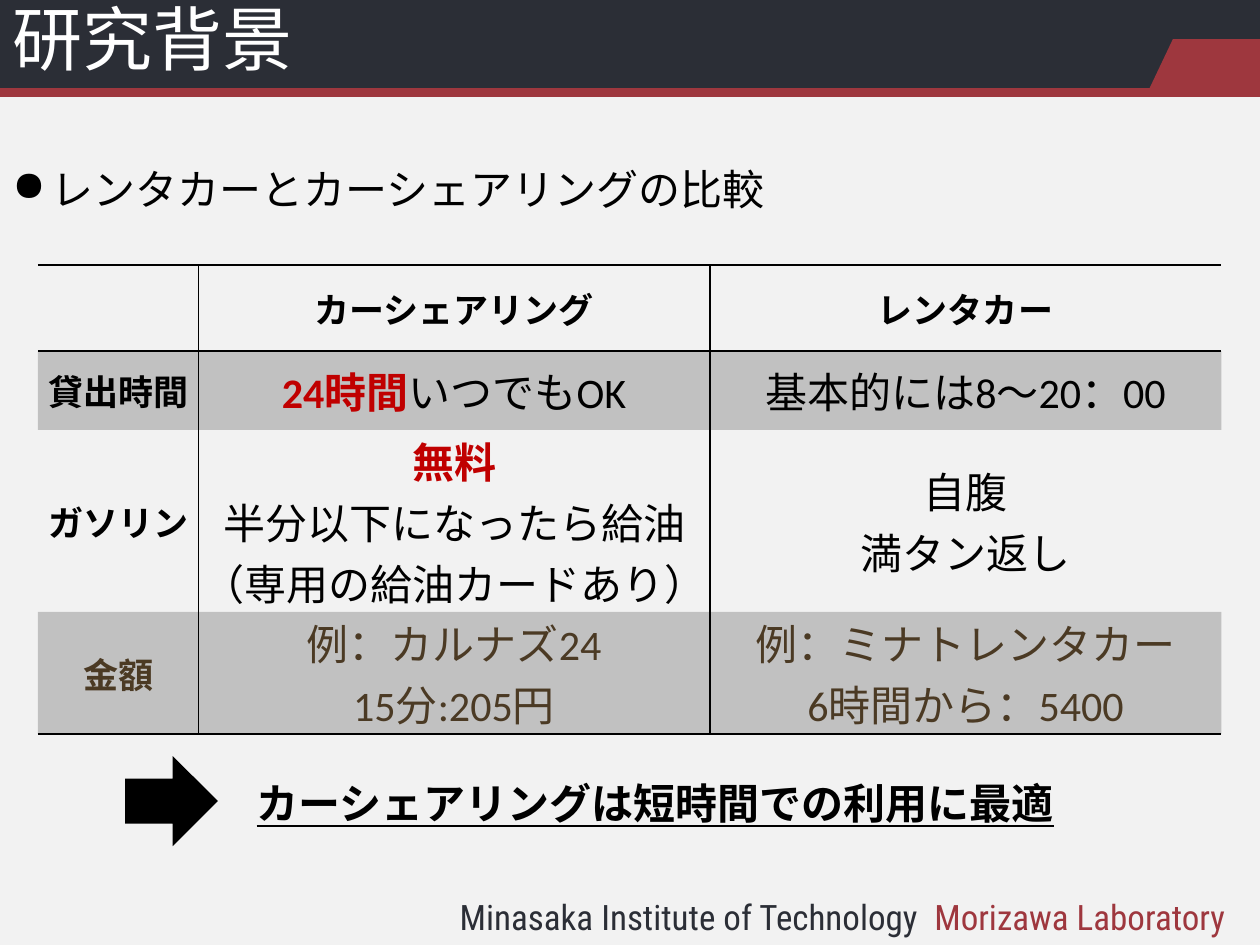
from dataclasses import dataclass

from lxml.etree import SubElement
from pptx import Presentation
from pptx.dml.color import RGBColor
from pptx.enum.shapes import MSO_CONNECTOR, MSO_SHAPE as Preset
from pptx.enum.text import MSO_ANCHOR as Anchor, PP_ALIGN as Align
from pptx.oxml import parse_xml
from pptx.oxml.ns import nsdecls, qn
from pptx.util import Pt

NAVY, RED, PAPER, INK = "2B2E36", "9E373E", "F2F2F2", "000000"
ACCENT, BROWN, WHITE = "C00000", "4B3A24", "FFFFFF"
LATIN, JAPANESE, CONDENSED = "Calibri", "Noto Sans CJK JP", "Roboto Condensed"
NO_STYLE = "{2D5ABB26-0587-4C30-8999-92F81FD0307C}"


@dataclass
class Span:
    """A piece of text with its own colour and weight."""
    text: str
    color: str = INK
    bold: bool = False


@dataclass
class Box:
    """A filled preset shape, measured in points."""
    preset: Preset
    left: float
    top: float
    width: float
    height: float
    color: str
    flipped: bool = False


@dataclass
class Row:
    """A table row: heading, cells of lines of spans, and look."""
    height: float
    heading: str
    cells: list[list[list[Span]]]
    shaded: bool = False
    color: str = INK


def rgb(value: str) -> RGBColor:
    """Turn a hex string into a colour."""
    return RGBColor.from_string(value)


def write_line(paragraph, spans: list[Span], size: float, font: str,
               align: Align = Align.LEFT) -> None:
    """Write spans into a paragraph, sharing whatever format agrees."""
    paragraph.alignment = align
    shared = paragraph.font
    shared.size, shared.name = Pt(size), font
    runs = []
    for span in spans:
        run = paragraph.add_run()
        run.text = span.text
        runs.append(run.font)
    targets = [shared] if len(spans) == 1 else runs
    for target, span in zip(targets, spans):
        target.bold = span.bold
        target.color.rgb = rgb(span.color)
    defaults = paragraph._p.pPr.find(qn("a:defRPr"))
    SubElement(defaults, qn("a:ea"), typeface=JAPANESE)


def add_text(shapes, left: float, top: float, width: float, height: float,
             spans: list[Span], size: float, font: str,
             align: Align = Align.LEFT, anchor: Anchor = Anchor.TOP):
    """Add a one-line text box and return its paragraph."""
    frame = shapes.add_textbox(Pt(left), Pt(top), Pt(width), Pt(height)).text_frame
    frame.word_wrap = True
    frame.vertical_anchor = anchor
    write_line(frame.paragraphs[0], spans, size, font, align)
    return frame.paragraphs[0]


def add_box(shapes, box: Box) -> None:
    """Draw a plain filled shape."""
    shape = shapes.add_shape(box.preset, Pt(box.left), Pt(box.top),
                             Pt(box.width), Pt(box.height))
    shape.shadow.inherit = False
    shape.fill.solid()
    shape.fill.fore_color.rgb = rgb(box.color)
    shape.line.fill.background()
    if box.flipped:
        shape._element.spPr.find(qn("a:xfrm")).set("flipH", "1")


def add_rule(shapes, top: float, width: float, color: str, weight: float) -> None:
    """Draw a horizontal rule from the left edge."""
    rule = shapes.add_connector(MSO_CONNECTOR.STRAIGHT, 0, Pt(top), Pt(width), Pt(top))
    rule.line.color.rgb = rgb(color)
    rule.line.width = Pt(weight)
    SubElement(rule._element.spPr, qn("a:effectLst"))


def set_borders(cell, sides: str) -> None:
    """Draw thin black borders on the named sides and none elsewhere."""
    properties = cell._tc.get_or_add_tcPr()
    for position, side in enumerate("LRTB"):
        paint = (f'<a:solidFill><a:srgbClr val="{INK}"/></a:solidFill>'
                 if side in sides else "<a:noFill/>")
        properties.insert(position, parse_xml(
            f'<a:ln{side} {nsdecls("a")} w="{Pt(1)}">{paint}</a:ln{side}>'))


def fill_cell(cell, lines: list[list[Span]], size: float, shaded: bool) -> None:
    """Write centred lines into a cell and shade it if asked."""
    cell.margin_left = cell.margin_right = cell.margin_top = cell.margin_bottom = 0
    cell.vertical_anchor = Anchor.MIDDLE
    frame = cell.text_frame
    for index, spans in enumerate(lines):
        paragraph = frame.add_paragraph() if index else frame.paragraphs[0]
        write_line(paragraph, spans, size, LATIN, Align.CENTER)
    if shaded:
        cell.fill.solid()
        cell.fill.fore_color.rgb = rgb(INK)
        tint = cell._tc.tcPr.find(".//" + qn("a:srgbClr"))
        SubElement(tint, qn("a:alpha"), val="20000")
    else:
        cell.fill.background()


def add_comparison(shapes, left: float, top: float, widths: list[float],
                   rows: list[Row]) -> None:
    """Draw the comparison table, its first row being the header."""
    table = shapes.add_table(len(rows), len(widths), Pt(left), Pt(top),
                             Pt(sum(widths)), Pt(sum(r.height for r in rows))).table
    table.first_row = table.horz_banding = False
    table._tbl.tblPr.find(qn("a:tableStyleId")).text = NO_STYLE
    for column, width in zip(table.columns, widths):
        column.width = Pt(width)
    last_row, last_column = len(rows) - 1, len(widths) - 1
    for r, row in enumerate(rows):
        table.rows[r].height = Pt(row.height)
        heading = [[Span(row.heading, row.color, True)]] if row.heading else []
        for c, lines in enumerate([heading, *row.cells]):
            cell = table.cell(r, c)
            fill_cell(cell, lines, 20 if r == 0 or c == 0 else 24, row.shaded)
            sides = ("L" if c else "") + ("R" if c < last_column else "")
            sides += "TB" if r == 0 else "T" if r == 1 else ""
            set_borders(cell, sides + ("B" if r == last_row else ""))


deck = Presentation()
deck.slide_width, deck.slide_height = Pt(720), Pt(540)
slide = deck.slides.add_slide(deck.slide_layouts[6])
slide.background.fill.solid()
slide.background.fill.fore_color.rgb = rgb(PAPER)
shapes = slide.shapes

add_text(shapes, 255.6, 508.3, 464.4, 31.7,
         [Span("Minasaka Institute of Technology  ", NAVY),
          Span("Morizawa Laboratory", RED)], 20, CONDENSED)
add_box(shapes, Box(Preset.RECTANGLE, 0, 0, 720, 51, NAVY))
add_rule(shapes, 52.7, 720, RED, 5)
for tab in (Box(Preset.RECTANGLE, 670.3, 22.3, 49.7, 30.2, RED),
            Box(Preset.RIGHT_TRIANGLE, 656.6, 22.3, 13.7, 28.8, RED, flipped=True)):
    add_box(shapes, tab)

title = add_text(shapes, 0, -0.7, 649.4, 50.4, [Span("研究背景", WHITE)], 40,
                 JAPANESE, anchor=Anchor.MIDDLE)
title.line_spacing = 0.9

topic = add_text(shapes, 0, 90, 471.6, 43.9,
                 [Span("レンタカーとカーシェアリングの比較")], 24, JAPANESE)
indent = topic._p.pPr
indent.set("marL", str(Pt(22.5)))
indent.set("indent", str(Pt(-22.5)))
indent.insert(0, parse_xml(f'<a:buChar {nsdecls("a")} char="●"/>'))

add_comparison(shapes, 21.7, 151.4, [91.6, 292.3, 292.3], [
    Row(49.2, "", [[[Span("カーシェアリング", bold=True)]],
                   [[Span("レンタカー", bold=True)]]]),
    Row(45.1, "貸出時間", [[[Span("24時間", ACCENT, True), Span("いつでもOK")]],
                       [[Span("基本的には8～20：00")]]], shaded=True),
    Row(104, "ガソリン", [[[Span("無料", ACCENT, True)],
                       [Span("半分以下になったら給油")],
                       [Span("（専用の給油カードあり）")]],
                      [[Span("自腹")], [Span("満タン返し")]]]),
    Row(69.7, "金額", [[[Span("例：カルナズ24", BROWN)], [Span("15分:205円", BROWN)]],
                     [[Span("例：ミナトレンタカー", BROWN)],
                      [Span("6時間から：5400", BROWN)]]], shaded=True, color=BROWN),
])

add_box(shapes, Box(Preset.RIGHT_ARROW, 71.5, 432, 53, 51.5, INK))
conclusion = add_text(shapes, 90.7, 437.8, 567.4, 41.8,
                      [Span("カーシェアリングは短時間での利用に最適", bold=True)],
                      24, LATIN, Align.CENTER, Anchor.MIDDLE)
conclusion.font.underline = True

deck.save("out.pptx")
